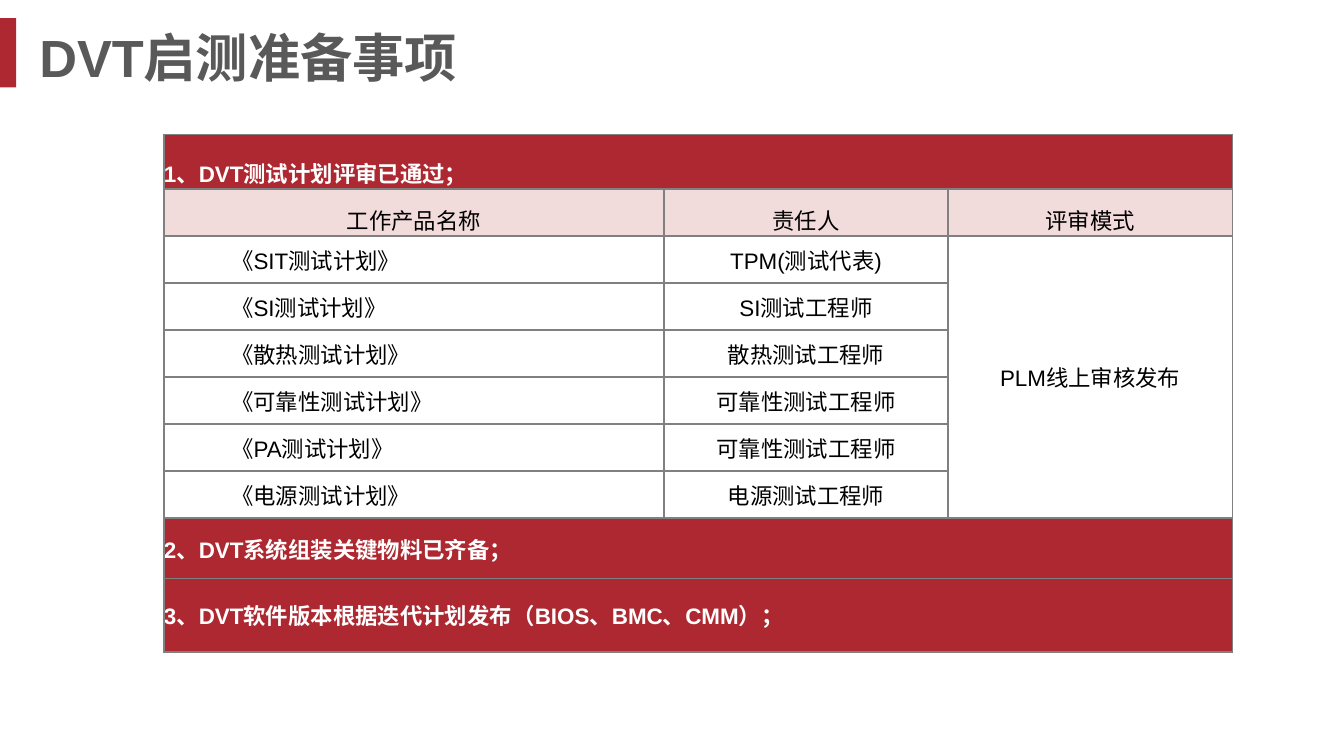
from lxml import etree
from pptx import Presentation
from pptx.dml.color import RGBColor
from pptx.enum.shapes import MSO_SHAPE
from pptx.enum.text import MSO_ANCHOR, PP_ALIGN
from pptx.oxml.ns import qn
from pptx.util import Pt

RECT = MSO_SHAPE.RECTANGLE
MIDDLE, BOTTOM = MSO_ANCHOR.MIDDLE, MSO_ANCHOR.BOTTOM
LEFT, CENTER = PP_ALIGN.LEFT, PP_ALIGN.CENTER
EMU_PER_PX = 4572  # 200 px to the inch
PLAIN_TABLE_STYLE = "{2D5ABB26-0587-4C30-8999-92F81FD0307C}"

RED, PINK, WHITE = "AD2830", "F2DCDB", "FFFFFF"
GREY, BLACK, BORDER = "595959", "000000", "808080"

REVIEW_HEADING = "1、DVT测试计划评审已通过；"
COLUMN_HEADINGS = ["工作产品名称", "责任人", "评审模式"]
PLANS = [
    ("《SIT测试计划》", "TPM(测试代表)"),
    ("《SI测试计划》", "SI测试工程师"),
    ("《散热测试计划》", "散热测试工程师"),
    ("《可靠性测试计划》", "可靠性测试工程师"),
    ("《PA测试计划》", "可靠性测试工程师"),
    ("《电源测试计划》", "电源测试工程师"),
]
REVIEW_MODE = "PLM线上审核发布"
OTHER_HEADINGS = [
    "2、DVT系统组装关键物料已齐备；",
    "3、DVT软件版本根据迭代计划发布（BIOS、BMC、CMM）；",
]


def px(length):
    return length * EMU_PER_PX


def color(value):
    return RGBColor.from_string(value)


class SlideBuilder:
    font = "Arial"

    def __init__(self, slide):
        self.slide = slide

    def style(self, paragraph, size, ink, bold):
        for run in paragraph.runs:
            run.font.name = self.font
            run.font.size = Pt(size)
            run.font.bold = bold
            run.font.color.rgb = color(ink)

    def bar(self, x, y, w, h, fill):
        bar = self.slide.shapes.add_shape(RECT, px(x), px(y), px(w), px(h))
        bar.shadow.inherit = False
        bar.fill.solid()
        bar.fill.fore_color.rgb = color(fill)
        bar.line.fill.background()

    def title(self, text, x, y, w, h):
        frame = self.slide.shapes.add_textbox(px(x), px(y), px(w), px(h)).text_frame
        frame.word_wrap = True
        frame.vertical_anchor = MIDDLE
        frame.text = text
        self.style(frame.paragraphs[0], 28, GREY, True)

    def table(self, x, y, widths, heights):
        table = self.slide.shapes.add_table(
            len(heights), len(widths), px(x), px(y), px(sum(widths)), px(sum(heights))
        ).table
        table.first_row = table.horz_banding = False
        table._tbl.tblPr.find(qn("a:tableStyleId")).text = PLAIN_TABLE_STYLE
        for column, width in zip(table.columns, widths):
            column.width = px(width)
        for row, height in zip(table.rows, heights):
            row.height = px(height)
        for cell in table.iter_cells():
            cell.margin_left = cell.margin_right = 0
            cell.margin_top = cell.margin_bottom = 0
            self.borders(cell)
            cell.fill.background()
        return table

    def borders(self, cell):
        properties = cell._tc.get_or_add_tcPr()
        for side in ("a:lnL", "a:lnR", "a:lnT", "a:lnB"):
            line = etree.SubElement(properties, qn(side), w=str(Pt(1)))
            fill = etree.SubElement(line, qn("a:solidFill"))
            etree.SubElement(fill, qn("a:srgbClr"), val=BORDER)

    def cell(self, cell, text, fill=None, ink=BLACK, bold=False,
             align=CENTER, anchor=MIDDLE, indent=0):
        cell.text_frame.text = text
        cell.vertical_anchor = anchor
        paragraph = cell.text_frame.paragraphs[0]
        paragraph.alignment = align
        if indent:
            paragraph.level = 1
            paragraph._p.get_or_add_pPr().set("marL", str(px(indent)))
        self.style(paragraph, 12, ink, bold)
        if fill:
            cell.fill.solid()
            cell.fill.fore_color.rgb = color(fill)

    def band(self, table, row, text, anchor=MIDDLE):
        first = table.cell(row, 0)
        first.merge(table.cell(row, len(table.columns) - 1))
        self.cell(first, text, RED, WHITE, True, LEFT, anchor)


def main():
    deck = Presentation()
    deck.slide_width, deck.slide_height = px(2000), px(1125)
    builder = SlideBuilder(deck.slides.add_slide(deck.slide_layouts[6]))

    # Title with its accent bar
    builder.bar(0, 27, 24, 103, RED)
    builder.title("DVT启测准备事项", 39, 29, 1622, 110)

    # Checklist: review heading and column headings
    row_heights = [81] + [70] * (len(PLANS) + 1) + [90, 109]
    checklist = builder.table(244, 200, [744, 423, 423], row_heights)
    builder.band(checklist, 0, REVIEW_HEADING, BOTTOM)
    for column, heading in enumerate(COLUMN_HEADINGS):
        builder.cell(checklist.cell(1, column), heading, PINK, anchor=BOTTOM)

    # Test plans, their owners and the shared review mode
    for row, (plan, owner) in enumerate(PLANS, start=2):
        builder.cell(checklist.cell(row, 0), plan, align=LEFT, indent=100)
        builder.cell(checklist.cell(row, 1), owner)
    after_plans = 2 + len(PLANS)
    mode_cell = checklist.cell(2, 2)
    mode_cell.merge(checklist.cell(after_plans - 1, 2))
    builder.cell(mode_cell, REVIEW_MODE)

    # Remaining preparation items
    for row, heading in enumerate(OTHER_HEADINGS, start=after_plans):
        builder.band(checklist, row, heading)

    deck.save("out.pptx")


if __name__ == "__main__":
    main()
